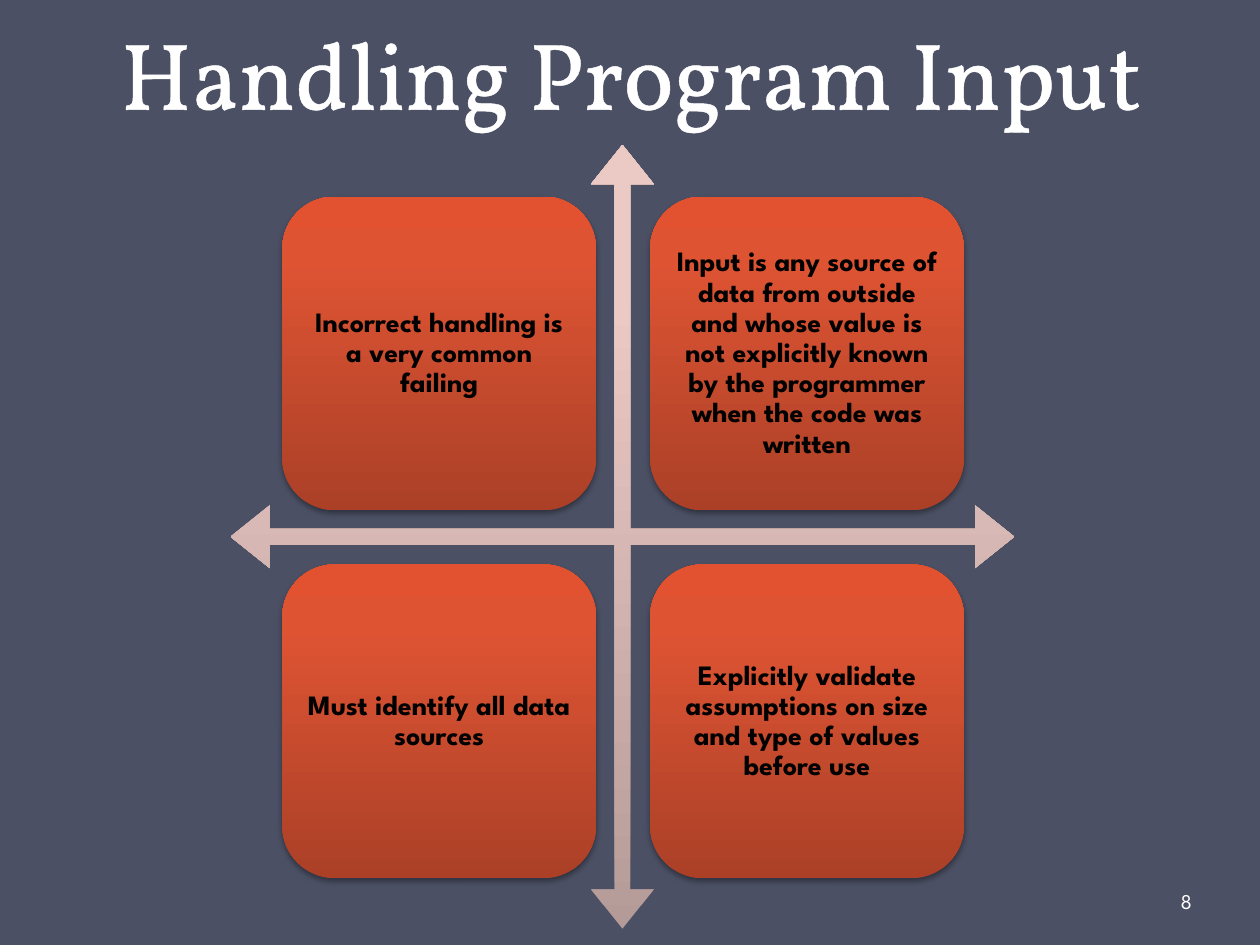
"""Build the slide about handling program input as a four-quadrant diagram."""
from copy import deepcopy
from dataclasses import dataclass

from lxml import etree
from pptx import Presentation
from pptx.dml.color import RGBColor
from pptx.enum.shapes import MSO_SHAPE
from pptx.enum.text import MSO_ANCHOR, MSO_AUTO_SIZE, PP_ALIGN
from pptx.oxml import parse_xml
from pptx.oxml.ns import nsdecls, qn
from pptx.util import Inches, Pt

QUAD_ARROW = MSO_SHAPE.QUAD_ARROW
ROUNDED_RECTANGLE = MSO_SHAPE.ROUNDED_RECTANGLE
MIDDLE = MSO_ANCHOR.MIDDLE
BOTTOM = MSO_ANCHOR.BOTTOM
NO_AUTOFIT = MSO_AUTO_SIZE.NONE
CENTER = PP_ALIGN.CENTER
LEFT = PP_ALIGN.LEFT

BACKGROUND = RGBColor(0x4B, 0x50, 0x64)
WHITE = RGBColor(0xFF, 0xFF, 0xFF)
BLACK = RGBColor(0x00, 0x00, 0x00)
ARROW_COLORS = (
    RGBColor(0xB5, 0x9B, 0x97),
    RGBColor(0xEB, 0xC9, 0xC5),
    RGBColor(0xED, 0xC9, 0xC5),
)
CARD_COLORS = (
    RGBColor(0xAB, 0x40, 0x27),
    RGBColor(0xDE, 0x54, 0x33),
    RGBColor(0xE3, 0x52, 0x30),
)
GRADIENT_POSITIONS = (0, 0.8, 1)

TITLE_FONT = {"name": "Vollkorn", "size": Pt(54), "bold": False}
CARD_FONT = {"name": "League Spartan", "size": Pt(16), "bold": True}
NUMBER_FONT = {"name": "League Spartan", "size": Pt(12), "bold": False}

CARD_LEFT, CARD_TOP = 2.24, 1.56
CARD_SIZE, CARD_PITCH = 2.49, 2.92


@dataclass(frozen=True)
class Card:
    """A quadrant card with its grid cell."""

    column: int
    row: int
    text: str


CARDS = (
    Card(0, 0, "Incorrect handling is a very common failing"),
    Card(1, 0, "Input is any source of data from outside and whose value is not "
               "explicitly known by the programmer when the code was written"),
    Card(0, 1, "Must identify all data sources"),
    Card(1, 1, "Explicitly validate assumptions on size and type of values before use"),
)


def write_text(shape, text: str, font: dict, color: RGBColor, alignment, anchor,
               margins: tuple, line_spacing=None):
    """Fill a shape with one formatted paragraph and return its run."""
    frame = shape.text_frame
    frame_format = {"word_wrap": True, "auto_size": NO_AUTOFIT, "vertical_anchor": anchor}
    for side, margin in zip(("left", "top", "right", "bottom"), margins):
        frame_format[f"margin_{side}"] = Inches(margin)
    for name, value in frame_format.items():
        setattr(frame, name, value)
    paragraph = frame.paragraphs[0]
    paragraph.alignment = alignment
    paragraph.line_spacing = line_spacing
    run = paragraph.add_run()
    run.text = text
    for name, value in font.items():
        setattr(run.font, name, value)
    run.font.color.rgb = color
    return run


def add_gradient_shape(slide, kind, left: float, top: float, size: float, colors: tuple):
    """Add a square borderless shape with an upward three-stop gradient."""
    shape = slide.shapes.add_shape(kind, Inches(left), Inches(top), Inches(size), Inches(size))
    shape.line.fill.background()
    shape.shadow.inherit = False
    shape.fill.gradient()
    shape.fill.gradient_angle = 90
    stop_list = shape._element.spPr.find(qn("a:gradFill")).find(qn("a:gsLst"))
    stop_list.append(deepcopy(stop_list[-1]))
    for stop, position, color in zip(shape.fill.gradient_stops, GRADIENT_POSITIONS, colors):
        stop.position = position
        stop.color.rgb = color
    return shape


def add_soft_shadow(shape) -> None:
    """Give a shape a soft shadow straight below it."""
    effects = shape._element.spPr.find(qn("a:effectLst"))
    shadow = etree.SubElement(effects, qn("a:outerShdw"), blurRad=str(Pt(3.1)),
                              dist=str(Pt(1.8)), dir="5400000", rotWithShape="0")
    color = etree.SubElement(shadow, qn("a:srgbClr"), val=str(BLACK))
    etree.SubElement(color, qn("a:alpha"), val="35000")


def add_card(slide, card: Card) -> None:
    """Draw one quadrant card."""
    shape = add_gradient_shape(slide, ROUNDED_RECTANGLE, CARD_LEFT + card.column * CARD_PITCH,
                               CARD_TOP + card.row * CARD_PITCH, CARD_SIZE, CARD_COLORS)
    add_soft_shadow(shape)
    write_text(shape, card.text, CARD_FONT, BLACK, CENTER, MIDDLE, (0.07,) * 4, 0.9)


def add_title(slide, text: str) -> None:
    """Place the outlined title."""
    title = slide.shapes.title
    position = {"left": 0.51, "top": -0.58, "width": 9, "height": 1.65}
    for name, value in position.items():
        setattr(title, name, Inches(value))
    run = write_text(title, text, TITLE_FONT, WHITE, CENTER, BOTTOM,
                     (0.1, 0.05, 0.1, 0.05), Pt(58))
    outline = parse_xml(
        f'<a:ln {nsdecls("a")} w="{Pt(1.45)}"><a:solidFill>'
        f'<a:srgbClr val="{WHITE}"/></a:solidFill></a:ln>'
    )
    run.font._element.insert(0, outline)


def main() -> None:
    """Build and save the presentation."""
    presentation = Presentation()
    presentation.slide_width = Inches(10)
    presentation.slide_height = Inches(7.5)
    slide = presentation.slides.add_slide(presentation.slide_layouts[5])
    slide.background.fill.solid()
    slide.background.fill.fore_color.rgb = BACKGROUND

    add_title(slide, "Handling Program Input")
    arrow = add_gradient_shape(slide, QUAD_ARROW, 1.83, 1.15, 6.22, ARROW_COLORS)
    for index, value in enumerate((0.02, 0.04, 0.05)):
        arrow.adjustments[index] = value
    for card in CARDS:
        add_card(slide, card)
    number = slide.shapes.add_textbox(Inches(9.34), Inches(6.95), Inches(0.61), Inches(0.4))
    write_text(number, "8", NUMBER_FONT, WHITE, LEFT, MIDDLE, (0.03, 0.05, 0.05, 0.05))
    presentation.save("out.pptx")


if __name__ == "__main__":
    main()
